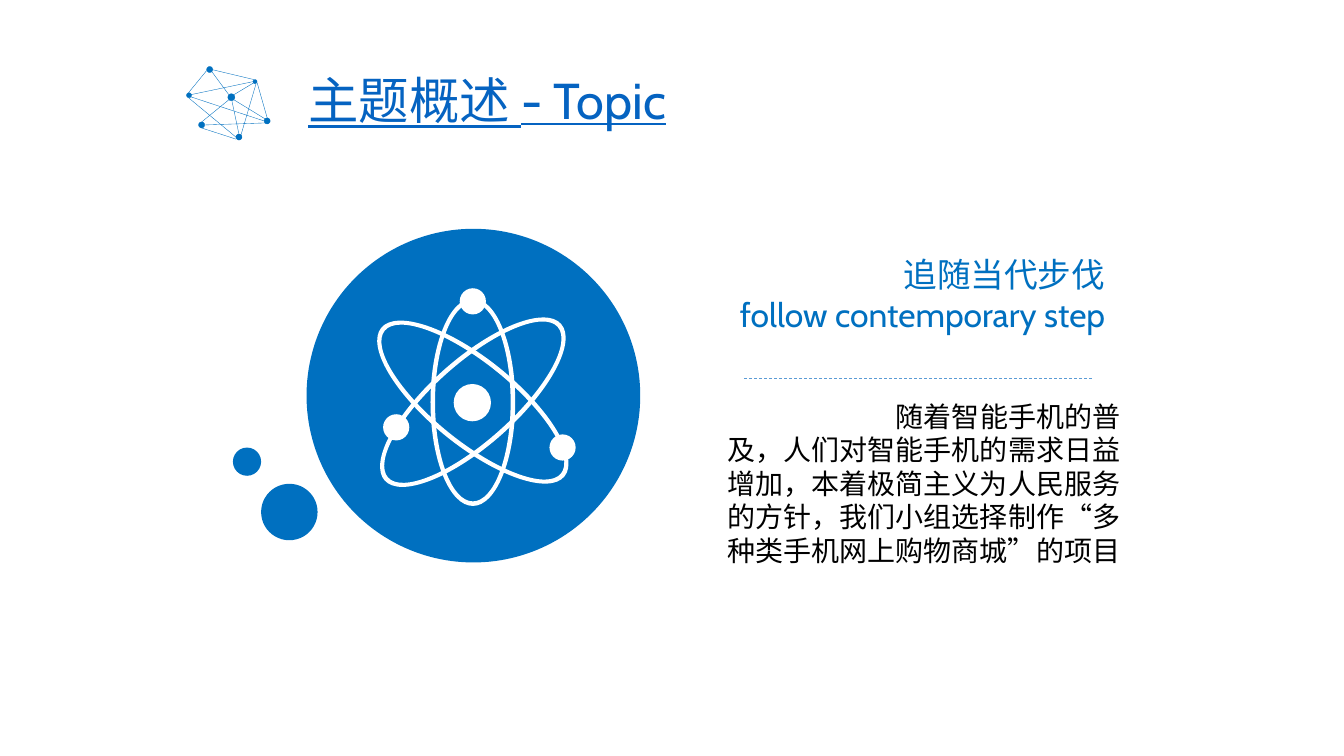
from math import cos, pi, radians, sin, tan
from typing import NamedTuple

from lxml import etree
from pptx import Presentation
from pptx.dml.color import RGBColor
from pptx.enum import dml, shapes, text
from pptx.oxml.ns import qn
from pptx.util import Inches, Pt

COLORS = {"blue": "0070C0", "link": "0563C1", "rule": "5B9BD5",
          "white": "FFFFFF", "black": "000000"}
FONT = "Cabin"


class Dot(NamedTuple):
    left: float
    top: float
    size: float
    color: str = "blue"


class Link(NamedTuple):
    x1: float
    y1: float
    x2: float
    y2: float


class Orbit(NamedTuple):
    major: float
    minor: float
    angle: float
    curves: int


class Label(NamedTuple):
    left: float
    top: float
    width: float
    height: float
    lines: tuple[str, ...]
    size: int
    color: str
    align: text.PP_ALIGN = text.PP_ALIGN.RIGHT


NETWORK_LINKS = [
    Link(2.05, 0.7, 1.87, 0.92), Link(2.1, 0.69, 2.52, 0.79),
    Link(2.1, 0.71, 2.27, 0.94), Link(1.87, 0.97, 2.34, 1.36),
    Link(2.62, 1.2, 1.89, 0.96), Link(2.51, 0.81, 1.89, 0.94),
    Link(2.39, 1.34, 2.54, 0.83), Link(2.3, 1, 2.37, 1.33),
    Link(2.32, 0.99, 2.63, 1.18), Link(2.52, 0.82, 2.32, 0.94),
    Link(2.55, 0.82, 2.65, 1.17), Link(2.27, 0.99, 2, 1.21),
    Link(2, 1.27, 2.34, 1.38), Link(2.63, 1.22, 2.03, 1.24),
]
NETWORK_NODES = [
    Dot(2.05, 0.66, 0.06), Dot(2.26, 0.93, 0.07), Dot(2.51, 0.79, 0.04),
    Dot(1.97, 1.21, 0.06), Dot(1.85, 0.92, 0.05), Dot(2.34, 1.33, 0.06),
    Dot(2.62, 1.17, 0.06),
]
BUBBLES = [Dot(2.59, 4.8, 0.56), Dot(2.31, 4.44, 0.28)]
ATOM_DISC = Dot(3.04, 2.27, 3.31)
ATOM_CENTER = (4.69, 3.99)
ORBIT_WIDTH = 0.045
ORBITS = [Orbit(1.03, 0.42, 90, 4), Orbit(1.17, 0.43, 39, 8),
          Orbit(1.17, 0.43, -41.6, 8)]
NUCLEUS = Dot(4.5, 3.81, 0.37, "white")
ELECTRONS = [Dot(3.8, 4.11, 0.26, "white"), Dot(5.45, 4.31, 0.26, "white"),
             Dot(4.56, 2.86, 0.26, "white")]
TITLE = Label(2.96, 0.59, 7.93, 0.86, ("主题概述 - Topic",), 36, "link",
              text.PP_ALIGN.LEFT)
HEADING = Label(7.12, 2.47, 3.94, 0.91,
                ("追随当代步伐", "follow contemporary step"), 24, "blue")
BODY = Label(6.87, 3.91, 4.34, 2.59, (
    "随着智能手机的普及，人们对智能手机的需求日益增加，本着极简主义为人民服务的方针，"
    "我们小组选择制作“多种类手机网上购物商城”的项目",), 20, "black")


def rgb(name: str) -> RGBColor:
    return RGBColor.from_string(COLORS[name])


def paint(sp, color: str, line_width: float = 0) -> None:
    sp.shadow.inherit = False
    sp.fill.solid()
    sp.fill.fore_color.rgb = rgb(color)
    if line_width:
        sp.line.color.rgb = rgb(color)
        sp.line.width = Pt(line_width)
    else:
        sp.line.fill.background()


def add_dot(parent, dot: Dot, line_width: float = 0) -> None:
    sp = parent.shapes.add_shape(
        shapes.MSO_SHAPE.OVAL, Inches(dot.left), Inches(dot.top),
        Inches(dot.size), Inches(dot.size))
    paint(sp, dot.color, line_width)


def add_link(parent, link: Link, color: str, width: float):
    cx = parent.shapes.add_connector(
        shapes.MSO_CONNECTOR.STRAIGHT, *(Inches(v) for v in link))
    cx.line.color.rgb = rgb(color)
    cx.line.width = Pt(width)
    etree.SubElement(cx._element.spPr, qn("a:effectLst"))
    return cx


def ellipse_points(major: float, minor: float, angle: float,
                   curves: int) -> list[tuple[int, int]]:
    """Start point, then two control points and an end point per curve."""
    cx, cy = ATOM_CENTER
    c, s = cos(radians(angle)), sin(radians(angle))
    step = 2 * pi / curves
    k = 4 / 3 * tan(step / 4)

    def at(t: float, pull: float = 0) -> tuple[int, int]:
        u = major * (cos(t) - pull * sin(t))
        v = minor * (sin(t) + pull * cos(t))
        return Inches(cx + u * c - v * s), Inches(cy + u * s + v * c)

    points = [at(0)]
    for i in range(curves):
        t, end = i * step, (i + 1) * step
        points += [at(t, k), at(end, -k), at(end)]
    return points


def add_orbit(parent, orbit: Orbit) -> None:
    outer = ellipse_points(*orbit)
    inner = ellipse_points(orbit.major - ORBIT_WIDTH, orbit.minor - ORBIT_WIDTH,
                           orbit.angle, orbit.curves)[::-1]
    builder = parent.shapes.build_freeform(*outer[0])
    builder.add_line_segments(outer[1:], close=True)
    builder.move_to(*inner[0])
    builder.add_line_segments(inner[1:], close=True)
    sp = builder.convert_to_shape()
    # Every three segments become one Bézier curve
    segments = list(sp._element.iter(qn("a:lnTo")))
    for first, *others in zip(segments[::3], segments[1::3], segments[2::3]):
        first.tag = qn("a:cubicBezTo")
        for segment in others:
            first.append(segment[0])
            segment.getparent().remove(segment)
    paint(sp, "white")


def add_label(slide, label: Label):
    sp = slide.shapes.add_textbox(Inches(label.left), Inches(label.top),
                                  Inches(label.width), Inches(label.height))
    tf = sp.text_frame
    tf.word_wrap = True
    tf.text = "\n".join(label.lines)
    for p in tf.paragraphs:
        p.alignment = label.align
        p.font.name = FONT
        p.font.size = Pt(label.size)
        p.font.color.rgb = rgb(label.color)
    return tf


def main() -> None:
    prs = Presentation()
    prs.slide_width, prs.slide_height = Inches(13.33), Inches(7.5)
    slide = prs.slides.add_slide(prs.slide_layouts[6])

    # Network emblem
    network = slide.shapes.add_group_shape()
    for link in NETWORK_LINKS:
        add_link(network, link, "blue", 0.25)
    for node in NETWORK_NODES:
        add_dot(network, node, 0.25)

    # Title
    tf = add_label(slide, TITLE)
    tf.vertical_anchor = text.MSO_ANCHOR.MIDDLE
    p = tf.paragraphs[0]
    p.line_spacing = 0.9
    p.font.underline = True

    # Bubbles
    for bubble in BUBBLES:
        add_dot(slide, bubble)

    # Heading, dashed rule and body
    add_label(slide, HEADING)
    rule = add_link(slide, Link(7.38, 3.75, 10.85, 3.75), "rule", 0.5)
    rule.line.dash_style = dml.MSO_LINE.DASH
    tf = add_label(slide, BODY)
    tf.paragraphs[0]._p.get_or_add_pPr().set("indent", str(Inches(1.75)))

    # Atom
    atom = slide.shapes.add_group_shape()
    add_dot(atom, ATOM_DISC)
    add_dot(atom, NUCLEUS)
    for orbit in ORBITS:
        add_orbit(atom, orbit)
    for electron in ELECTRONS:
        add_dot(atom, electron)

    prs.save("out.pptx")


if __name__ == "__main__":
    main()
